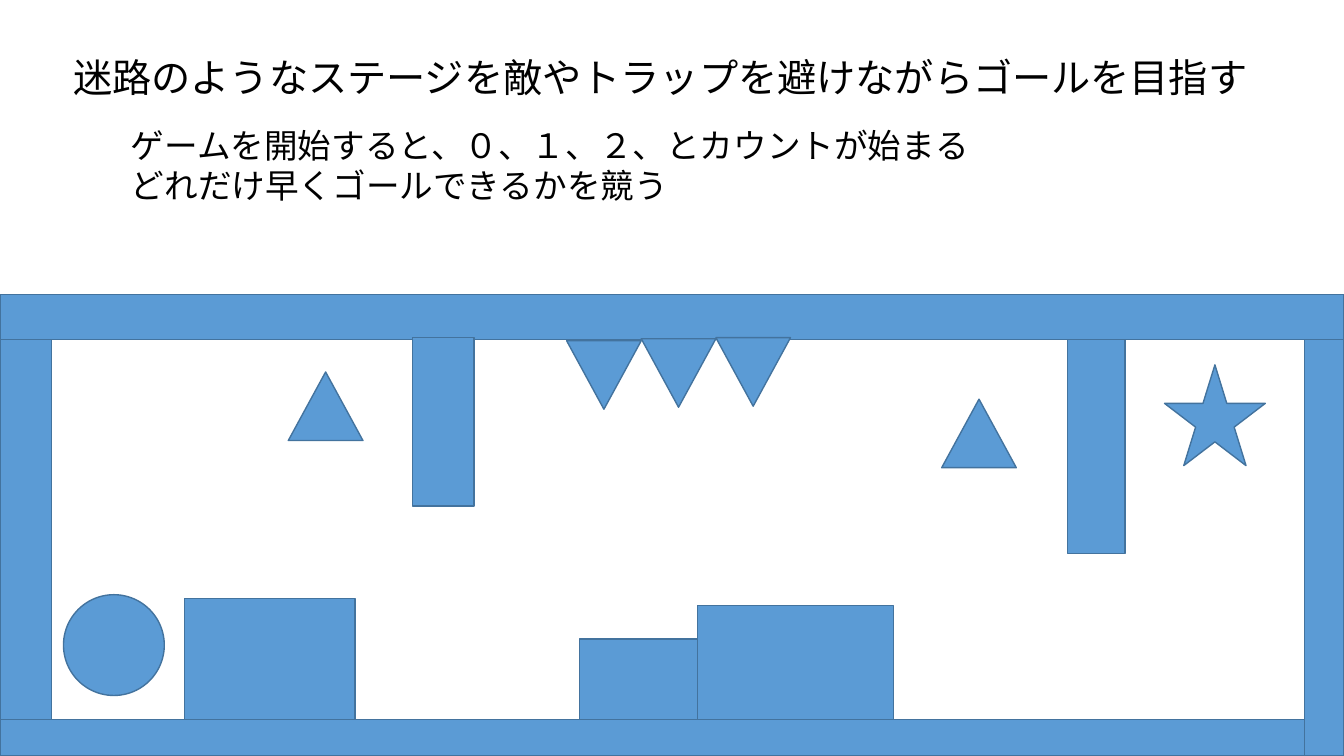
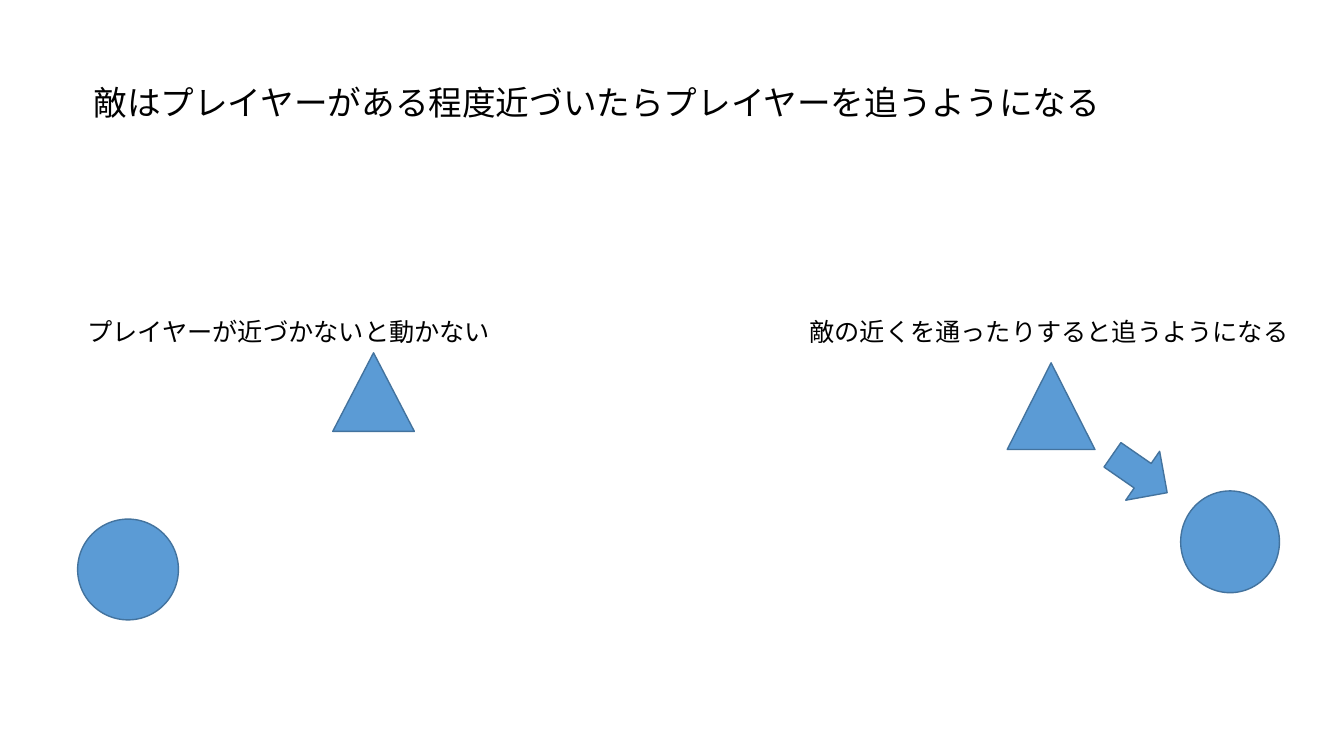
from pptx import Presentation
from pptx.dml.color import RGBColor
from pptx.enum.shapes import MSO_SHAPE as SHAPE
from pptx.enum.text import MSO_AUTO_SIZE as AUTO
from pptx.util import Inches, Pt

BLUE = RGBColor(0x5B, 0x9B, 0xD5)
EDGE = RGBColor(0x43, 0x73, 0x9E)
BLACK = RGBColor(0, 0, 0)
FONT = "Calibri"
W, H = 13.33, 7.5

CEILING_TOP, CEILING, FLOOR = 2.92, 3.37, 7.14
LEFT_WALL, RIGHT_WALL = 0.51, 12.94
SPIKE_W, SPIKE_H = 0.74, 0.68

WALLS = [
    (0, CEILING_TOP, W, CEILING),
    (RIGHT_WALL, CEILING, W, H),
    (0, FLOOR, RIGHT_WALL, H),
    (0, CEILING, LEFT_WALL, FLOOR),
]
PILLARS = [(10.59, CEILING, 0.57, 2.12), (4.09, 3.35, 0.61, 1.67)]
BLOCKS = [(6.92, 1.94, 1.13), (5.75, 1.17, 0.8), (1.83, 1.69, 1.2)]
ENEMIES = [(2.86, 3.69), (9.34, 3.96)]
SPIKES_LEFT, SPIKE_TOPS = 5.62, [3.38, 3.36, 3.35]

STAGE_TEXTS = [
    (["迷路のようなステージを敵やトラップを避けながらゴールを目指す"],
     (0.63, 0.48, 12.3, 0.57), 28, True),
    (["ゲームを開始すると、０、１、２、とカウントが始まる",
      "どれだけ早くゴールできるかを競う"],
     (1.2, 1.19, 8.62, 0.91), 24, False),
]
CHASE_TEXTS = [
    (["敵はプレイヤーがある程度近づいたらプレイヤーを追うようになる"],
     (0.83, 0.76, 10.87, 0.5), 24, True),
    (["プレイヤーが近づかないと動かない"], (0.77, 3.09, 4.24, 0.4), 18, False),
    (["敵の近くを通ったりすると追うようになる"], (7.93, 3.09, 5, 0.4), 18, False),
]
CHASE_SHAPES = [
    (SHAPE.OVAL, (0.77, 5.15, 1, 1), 0),
    (SHAPE.ISOSCELES_TRIANGLE, (3.3, 3.5, 0.81, 0.78), 0),
    (SHAPE.OVAL, (11.71, 4.87, 0.98, 1.01), 0),
    (SHAPE.ISOSCELES_TRIANGLE, (9.99, 3.6, 0.87, 0.86), 0),
    (SHAPE.DOWN_ARROW, (11.01, 4.37, 0.59, 0.66), 304.7),
]


def add_piece(s, kind, box, rotation=0):
    sp = s.shapes.add_shape(kind, *map(Inches, box))
    sp.rotation = rotation
    sp.shadow.inherit = False
    sp.fill.solid()
    sp.fill.fore_color.rgb = BLUE
    sp.line.color.rgb = EDGE
    sp.line.width = Pt(1)


def add_text(s, lines, box, size, wrap):
    tf = s.shapes.add_textbox(*map(Inches, box)).text_frame
    tf.word_wrap = wrap
    tf.auto_size = AUTO.SHAPE_TO_FIT_TEXT
    for i, line in enumerate(lines):
        p = tf.add_paragraph() if i else tf.paragraphs[0]
        r = p.add_run()
        r.text = line
        r.font.name = FONT
        r.font.size = Pt(size)
        r.font.color.rgb = BLACK


def stage_shapes():
    for left, top, right, bottom in WALLS:
        yield SHAPE.RECTANGLE, (left, top, right - left, bottom - top), 0
    for box in PILLARS:
        yield SHAPE.RECTANGLE, box, 0
    for left, width, height in BLOCKS:
        yield SHAPE.RECTANGLE, (left, FLOOR - height, width, height), 0
    yield SHAPE.OVAL, (0.63, 5.9, 1, 1), 0
    for left, top in ENEMIES:
        yield SHAPE.ISOSCELES_TRIANGLE, (left, top, SPIKE_W, SPIKE_H), 0
    for i, top in enumerate(SPIKE_TOPS):
        box = (SPIKES_LEFT + i * SPIKE_W, top, SPIKE_W, SPIKE_H)
        yield SHAPE.ISOSCELES_TRIANGLE, box, 180
    yield SHAPE.STAR_5_POINT, (11.55, 3.62, 1, 1), 0


prs = Presentation()
prs.slide_width, prs.slide_height = Inches(W), Inches(H)
for pieces, texts in [(stage_shapes(), STAGE_TEXTS), (CHASE_SHAPES, CHASE_TEXTS)]:
    s = prs.slides.add_slide(prs.slide_layouts[6])
    for piece in pieces:
        add_piece(s, *piece)
    for text in texts:
        add_text(s, *text)
prs.save("out.pptx")
